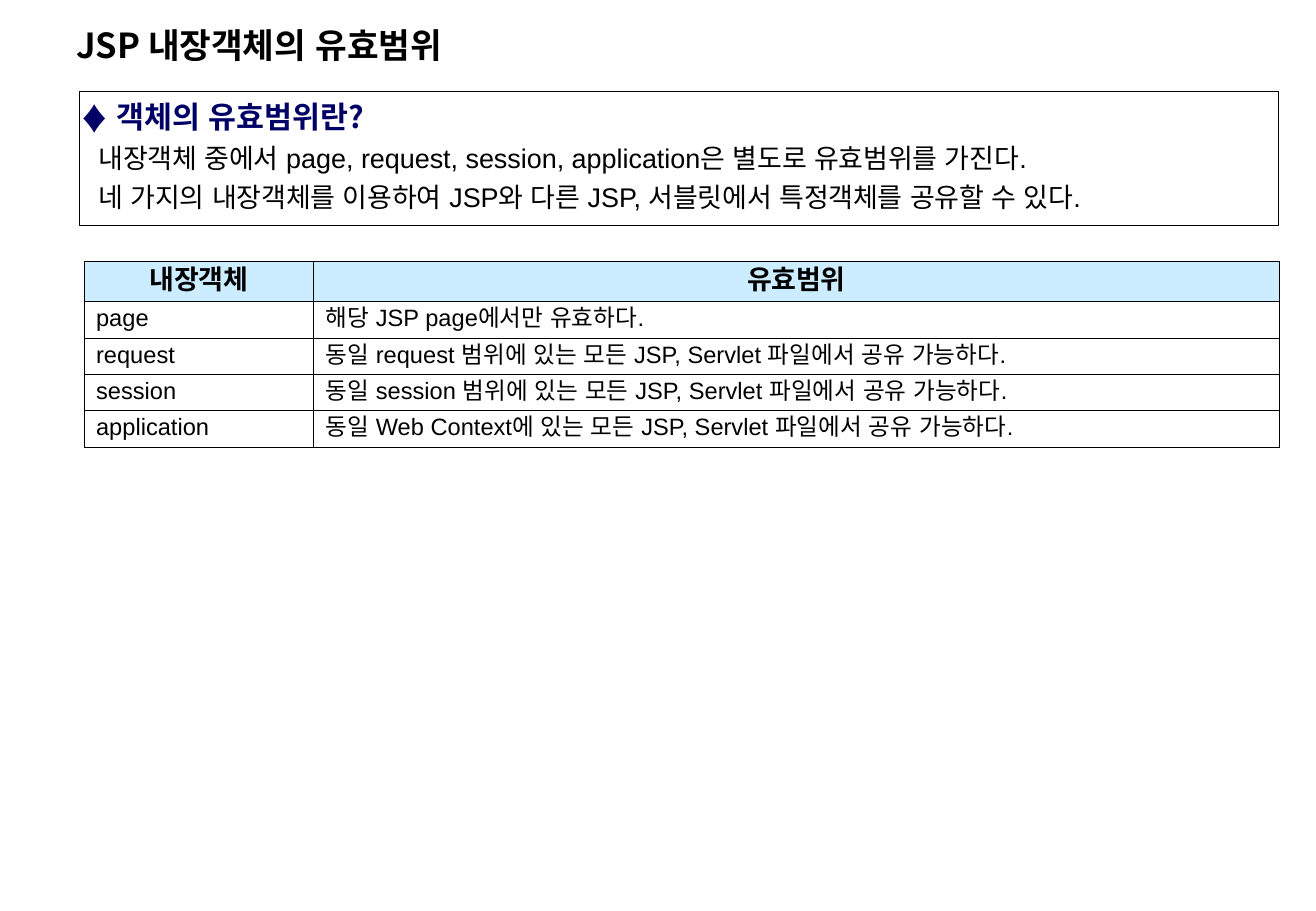
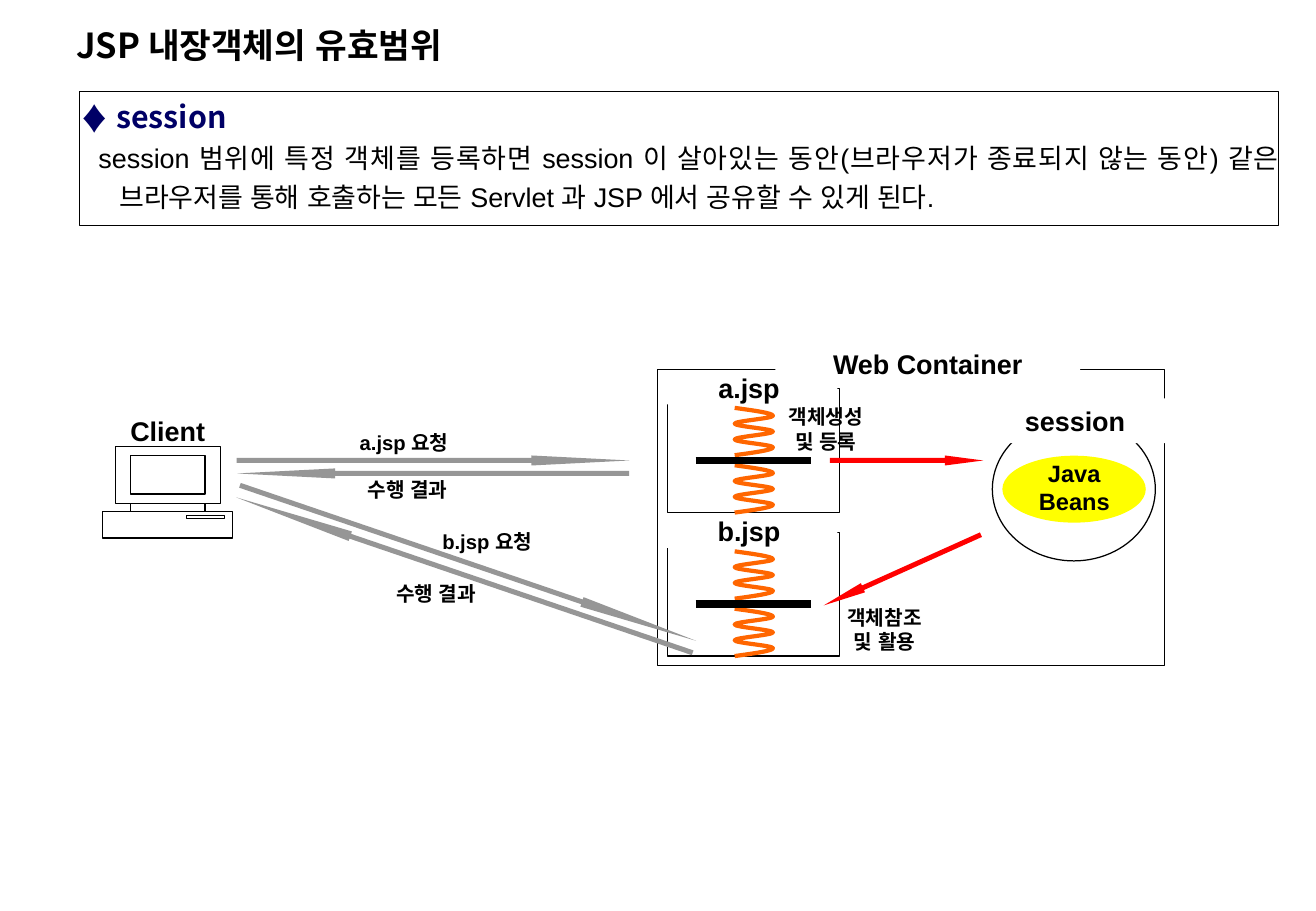
from dataclasses import dataclass
from math import atan2, degrees, hypot

from lxml import etree
from pptx import Presentation
from pptx.dml.color import RGBColor
from pptx.enum.shapes import MSO_CONNECTOR, MSO_SHAPE
from pptx.enum.text import MSO_ANCHOR, MSO_AUTO_SIZE, PP_ALIGN
from pptx.oxml.ns import qn
from pptx.util import Cm, Pt

RECTANGLE, ELLIPSE, ARROW = MSO_SHAPE.RECTANGLE, MSO_SHAPE.OVAL, MSO_SHAPE.RIGHT_ARROW
STRAIGHT = MSO_CONNECTOR.STRAIGHT
LEFT, CENTER, JUSTIFY = PP_ALIGN.LEFT, PP_ALIGN.CENTER, PP_ALIGN.JUSTIFY
TOP, MIDDLE = MSO_ANCHOR.TOP, MSO_ANCHOR.MIDDLE


@dataclass(frozen=True)
class Theme:
    text_font: str = "Arial"
    title_font: str = "Noto Sans CJK KR"
    ink: str = "000000"
    paper: str = "FFFFFF"
    heading: str = "000066"
    table_head: str = "CCECFF"
    spring: str = "FF6600"
    bean: str = "FFFF00"
    request: str = "969696"
    access: str = "FF0000"
    title_size: float = 20.4
    heading_size: float = 18
    text_size: float = 16
    cell_size: float = 14
    small_size: float = 12
    thin: float = 0.75
    cell_line: float = 0.45
    spring_line: float = 2.5
    bar_line: float = 4.5


THEME = Theme()

# All boxes are (left, top, width, height) in centimetres.
SLIDE_SIZE = (27.53, 19.05)
TITLE_BOX = (1.6, 0.41, 15.54, 1.14)
SUMMARY_BOX = (1.66, 1.91, 25.09, 2.81)

TITLE = "JSP 내장객체의 유효범위"
SCOPE_HEADING = "객체의 유효범위란?"
SCOPE_LINES = [
    "내장객체 중에서 page, request, session, application은 별도로 유효범위를 가진다.",
    "네 가지의 내장객체를 이용하여 JSP와 다른 JSP, 서블릿에서 특정객체를 공유할 수 있다.",
]
SCOPE_ROWS = [
    ("내장객체", "유효범위"),
    ("page", "해당 JSP page에서만 유효하다."),
    ("request", "동일 request 범위에 있는 모든 JSP, Servlet 파일에서 공유 가능하다."),
    ("session", "동일 session 범위에 있는 모든 JSP, Servlet 파일에서 공유 가능하다."),
    ("application", "동일 Web Context에 있는 모든 JSP, Servlet 파일에서 공유 가능하다."),
]
TABLE_CORNER = (1.76, 5.47)
COLUMN_WIDTHS = (4.8, 20.2)
HEAD_HEIGHT, ROW_HEIGHT = 0.84, 0.76

SESSION_HEADING = "session"
SESSION_LINES = [
    "session 범위에 특정 객체를 등록하면 session 이 살아있는 동안(브라우저가 종료되지 않는 동안) 같은 "
    "브라우저를 통해 호출하는 모든 Servlet 과 JSP 에서 공유할 수 있게 된다.",
]
COMPUTER_PARTS = {
    "case": (2.42, 9.33, 2.19, 1.2),
    "screen": (2.73, 9.53, 1.56, 0.8),
    "neck": (2.73, 10.53, 1.56, 0.17),
    "base": (2.15, 10.7, 2.72, 0.55),
    "drive": (3.91, 10.78, 0.79, 0.06),
}
CONTAINER_BOX = (13.76, 7.73, 10.6, 6.19)
CONTAINER_LABEL = ("Web Container", (16.22, 7.14, 6.38, 0.94))
PAGES = ["a.jsp", "b.jsp"]
PAGE_TOP, PAGE_STEP = 8.13, 3.0
SESSION_BOX = (20.76, 8.73, 3.41, 3.0)
SESSION_LABEL = ("session", (20.24, 8.33, 4.5, 0.94))
BEAN_BOX = (20.97, 9.53, 3.0, 1.4)
BEAN_LINES = ["Java", "Beans"]
BEAN_LABEL_BOX = (20.53, 9.46, 3.89, 1.45)
CLIENT_LABEL = ("Client", (1.53, 8.53, 3.96, 0.94))
STEP_LABELS = [
    (["a.jsp 요청"], (6.27, 8.86, 4.37, 0.76)),
    (["수행 결과"], (6.48, 9.86, 4.09, 0.76)),
    (["b.jsp 요청"], (8.0, 10.93, 4.39, 0.76)),
    (["수행 결과"], (7.08, 12.02, 4.09, 0.76)),
    (["객체생성", "및 등록"], (15.23, 8.33, 4.09, 1.3)),
    (["객체참조", "및 활용"], (16.46, 12.52, 4.09, 1.3)),
]
ARROWS = [  # tail, tip, colour
    ((4.95, 9.63), (13.17, 9.63), THEME.request),
    ((13.16, 9.9), (4.96, 9.9), THEME.request),
    ((5.02, 10.15), (14.56, 13.4), THEME.request),
    ((14.49, 13.65), (4.94, 10.4), THEME.request),
    ((17.36, 9.63), (20.57, 9.63), THEME.access),
    ((20.52, 11.18), (17.23, 12.66), THEME.access),
]
ARROW_THICKNESS, ARROW_HEAD_SHARE = 0.21, 0.25


def lengths(values):
    return [Cm(value) for value in values]


def place(shape, box):
    shape.left, shape.top, shape.width, shape.height = lengths(box)


def style_shape(shape, fill=None, line=None, width=THEME.thin):
    shape.shadow.inherit = False
    if fill:
        shape.fill.solid()
        shape.fill.fore_color.rgb = RGBColor.from_string(fill)
    else:
        shape.fill.background()
    if line:
        shape.line.color.rgb = RGBColor.from_string(line)
        shape.line.width = Pt(width)
    else:
        shape.line.fill.background()


def add_shape(slide, kind, box, fill=None, line=None):
    shape = slide.shapes.add_shape(kind, *lengths(box))
    style_shape(shape, fill, line)
    return shape


def set_frame(frame, margins, anchor):
    frame.word_wrap = True
    frame.auto_size = MSO_AUTO_SIZE.NONE
    frame.vertical_anchor = anchor
    frame.margin_left, frame.margin_top, frame.margin_right, frame.margin_bottom = lengths(margins)


def write_paragraph(paragraph, text, size, bold=False, color=THEME.ink, font=THEME.text_font,
                    align=LEFT, spacing=1.0, indent=(0, 0), bullet=None):
    properties = paragraph._p.get_or_add_pPr()
    properties.set("marL", str(Cm(indent[0])))
    properties.set("indent", str(Cm(indent[1])))
    if bullet:
        etree.SubElement(properties, qn("a:buFont"), typeface=font)
        etree.SubElement(properties, qn("a:buChar"), char=bullet)
    else:
        etree.SubElement(properties, qn("a:buNone"))
    paragraph.alignment = align
    paragraph.line_spacing = spacing
    paragraph.space_before = Pt(0)
    run = paragraph.add_run()
    run.text = text
    run.font.size = Pt(size)
    run.font.bold = bold
    run.font.color.rgb = RGBColor.from_string(color)
    run.font.name = font
    etree.SubElement(run._r.get_or_add_rPr(), qn("a:ea"), typeface=THEME.text_font)


def write_lines(frame, lines, **style):
    """Fill the first paragraph, then add one for each further line."""
    for index, line in enumerate(lines):
        paragraph = frame.add_paragraph() if index else frame.paragraphs[0]
        write_paragraph(paragraph, line, **style)


def add_label(slide, lines, box, size=THEME.text_size, fill=None, inset=0.13):
    if fill:
        label = add_shape(slide, RECTANGLE, box, fill)
    else:
        label = slide.shapes.add_textbox(*lengths(box))
    set_frame(label.text_frame, (0.25, inset, 0.25, inset), TOP)
    write_lines(label.text_frame, lines, size=size, bold=True, align=CENTER)


def add_topic_slide(presentation, heading, lines):
    slide = presentation.slides.add_slide(presentation.slide_layouts[1])
    title, summary = slide.placeholders
    place(title, TITLE_BOX)
    set_frame(title.text_frame, (0, 0.13, 0, 0.13), MIDDLE)
    write_paragraph(title.text_frame.paragraphs[0], TITLE, THEME.title_size, bold=True,
                    font=THEME.title_font, spacing=0.9)
    place(summary, SUMMARY_BOX)
    summary.line.color.rgb = RGBColor.from_string(THEME.ink)
    summary.line.width = Pt(THEME.thin)
    frame = summary.text_frame
    set_frame(frame, (0, 0, 0, 0.13), TOP)
    write_paragraph(frame.paragraphs[0], heading, THEME.heading_size, bold=True,
                    color=THEME.heading, font=THEME.title_font, align=JUSTIFY, spacing=1.2,
                    indent=(0.77, -0.77), bullet="♦")
    for line in lines:
        write_paragraph(frame.add_paragraph(), line, THEME.text_size, align=JUSTIFY,
                        spacing=1.2, indent=(0.84, -0.44))
    return slide


def set_cell_borders(cell):
    properties = cell._tc.get_or_add_tcPr()
    for position, side in enumerate(("a:lnL", "a:lnR", "a:lnT", "a:lnB")):
        border = etree.Element(qn(side), w=str(Pt(THEME.cell_line)))
        fill = etree.SubElement(border, qn("a:solidFill"))
        etree.SubElement(fill, qn("a:srgbClr"), val=THEME.ink)
        properties.insert(position, border)


def add_scope_table(slide):
    heights = [HEAD_HEIGHT] + [ROW_HEIGHT] * (len(SCOPE_ROWS) - 1)
    box = (*TABLE_CORNER, sum(COLUMN_WIDTHS), sum(heights))
    table = slide.shapes.add_table(len(SCOPE_ROWS), len(COLUMN_WIDTHS), *lengths(box)).table
    table.first_row = table.horz_banding = False
    for column, width in zip(table.columns, COLUMN_WIDTHS):
        column.width = Cm(width)
    for row_index, (row, height) in enumerate(zip(table.rows, heights)):
        row.height = Cm(height)
        head = row_index == 0
        for column_index, cell in enumerate(row.cells):
            cell.vertical_anchor = MIDDLE
            cell.margin_left = cell.margin_right = Cm(0.25)
            cell.margin_top = cell.margin_bottom = Cm(0.12)
            if head:
                cell.fill.solid()
                cell.fill.fore_color.rgb = RGBColor.from_string(THEME.table_head)
            else:
                cell.fill.background()
            set_cell_borders(cell)
            align = CENTER if head else (LEFT, JUSTIFY)[column_index]
            write_paragraph(cell.text_frame.paragraphs[0], SCOPE_ROWS[row_index][column_index],
                            THEME.text_size if head else THEME.cell_size, bold=head,
                            align=align, spacing=0.85)


def add_computer(slide):
    builder = None
    for left, top, width, height in COMPUTER_PARTS.values():
        right, bottom = left + width, top + height
        start = lengths((left, top))
        if builder is None:
            builder = slide.shapes.build_freeform(*start, scale=1.0)
        else:
            builder.move_to(*start)
        corners = [(right, top), (right, bottom), (left, bottom)]
        builder.add_line_segments([lengths(corner) for corner in corners], close=True)
    style_shape(builder.convert_to_shape(), line=THEME.ink)


def bend_segments(shape):
    """Turn every three straight segments into one cubic curve."""
    segments = list(shape._element.iter(qn("a:lnTo")))
    for index in range(0, len(segments), 3):
        curve = etree.Element(qn("a:cubicBezTo"))
        segments[index].addprevious(curve)
        for segment in segments[index:index + 3]:
            curve.append(segment[0])
            segment.getparent().remove(segment)


def add_spring(slide, left, top, width=0.8, height=0.99):
    reaches = [0, 0.5, 1, 1] + [1, 0, 0, 0, 1, 1] * 2 + [1, 0.5, 0]
    step = height / (len(reaches) - 1)
    points = [lengths((left + width * reach, top + step * index))
              for index, reach in enumerate(reaches)]
    builder = slide.shapes.build_freeform(*points[0], scale=1.0)
    builder.add_line_segments(points[1:], close=False)
    spring = builder.convert_to_shape()
    bend_segments(spring)
    style_shape(spring, line=THEME.spring, width=THEME.spring_line)


def add_page(slide, name, top):
    """Draw one JSP page: frame, name, and a bar between two springs."""
    add_shape(slide, RECTANGLE, (13.96, top, 3.6, 2.59), line=THEME.ink)
    add_label(slide, [name], (13.82, top - 0.36, 3.7, 0.69), fill=THEME.paper, inset=0)
    for offset in (0.4, 1.6):
        add_spring(slide, 15.37, top + offset)
    bar = slide.shapes.add_connector(STRAIGHT, *lengths((14.55, top + 1.5, 16.97, top + 1.5)))
    bar.line.color.rgb = RGBColor.from_string(THEME.ink)
    bar.line.width = Pt(THEME.bar_line)
    etree.SubElement(bar._element.spPr, qn("a:effectLst"))


def add_arrow(slide, tail, tip, color):
    run, rise = tip[0] - tail[0], tip[1] - tail[1]
    length = hypot(run, rise)
    left = (tail[0] + tip[0] - length) / 2
    top = (tail[1] + tip[1] - ARROW_THICKNESS) / 2
    arrow = add_shape(slide, ARROW, (left, top, length, ARROW_THICKNESS), color)
    arrow.adjustments[1] = length * ARROW_HEAD_SHARE / ARROW_THICKNESS
    arrow.rotation = degrees(atan2(rise, run))


def add_session_diagram(slide):
    add_computer(slide)
    add_shape(slide, RECTANGLE, CONTAINER_BOX, line=THEME.ink)
    add_label(slide, [CONTAINER_LABEL[0]], CONTAINER_LABEL[1], fill=THEME.paper)
    for index, name in enumerate(PAGES):
        add_page(slide, name, PAGE_TOP + index * PAGE_STEP)
    add_shape(slide, ELLIPSE, SESSION_BOX, line=THEME.ink)
    add_label(slide, [SESSION_LABEL[0]], SESSION_LABEL[1], fill=THEME.paper)
    add_shape(slide, ELLIPSE, BEAN_BOX, THEME.bean)
    add_label(slide, BEAN_LINES, BEAN_LABEL_BOX, THEME.cell_size)
    for tail, tip, color in ARROWS:
        add_arrow(slide, tail, tip, color)
    add_label(slide, [CLIENT_LABEL[0]], CLIENT_LABEL[1])
    for lines, box in STEP_LABELS:
        add_label(slide, lines, box, THEME.small_size)


def main():
    presentation = Presentation()
    presentation.slide_width, presentation.slide_height = lengths(SLIDE_SIZE)
    add_scope_table(add_topic_slide(presentation, SCOPE_HEADING, SCOPE_LINES))
    add_session_diagram(add_topic_slide(presentation, SESSION_HEADING, SESSION_LINES))
    presentation.save("out.pptx")


if __name__ == "__main__":
    main()
